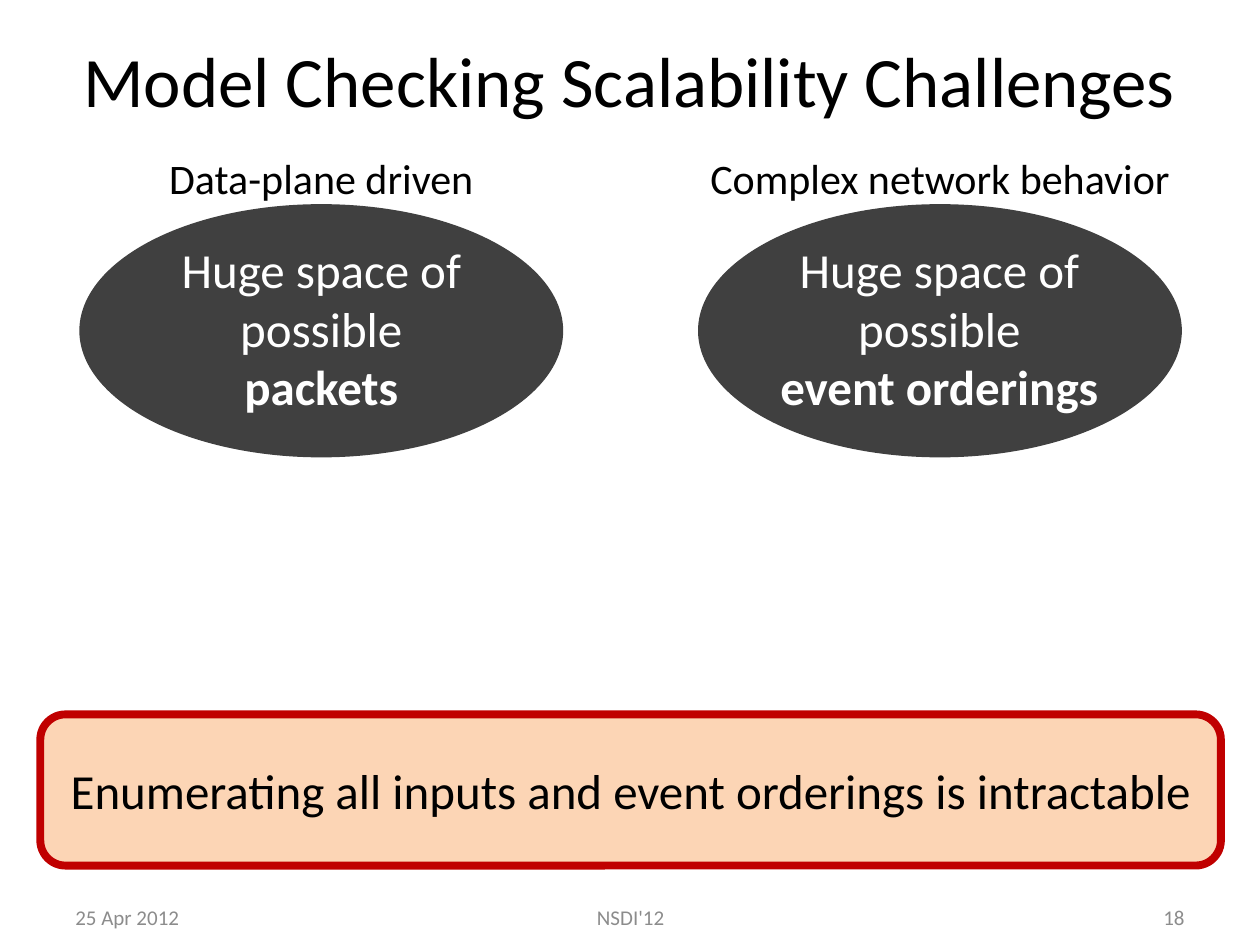
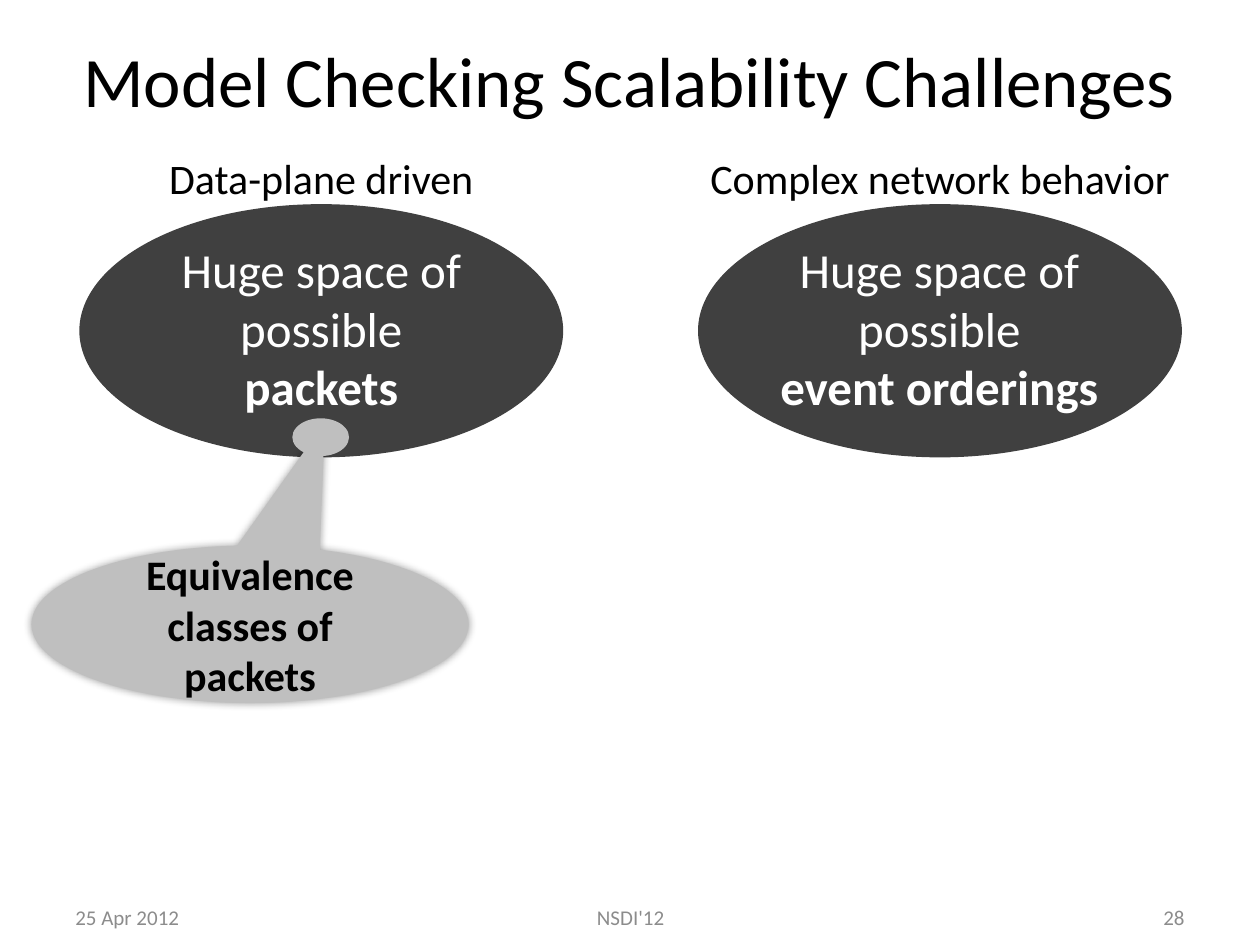
import pptx
import pptx.util
import pptx.dml.color
import pptx.enum.shapes
import pptx.enum.text
import pptx.oxml.ns
from lxml import etree
from pptx.util import Inches

COLOURS = {
    "text": "000000",
    "light_text": "FFFFFF",
    "footer": "8C8C8C",
    "space": "404040",
    "callout": "BFBFBF",
    "banner": "FCD5B5",
    "banner_line": "C00000",
}
FONT = "Calibri"
TITLE = "Model Checking Scalability Challenges"
SHAPES = pptx.enum.shapes.MSO_SHAPE
ALIGN = pptx.enum.text.PP_ALIGN
ANCHOR = pptx.enum.text.MSO_ANCHOR

# Heading and its box, last line of the oval and its box, left edge of the oval
CHALLENGES = [
    ("Data-plane driven", (1.23, 2.64), "packets", (0.97, 3.16), 0.63),
    ("Complex network behavior", (5.52, 3.88), "event orderings", (5.8, 3.31), 5.54),
]


def rgb(name):
    """Return the named colour."""
    return pptx.dml.color.RGBColor.from_string(COLOURS[name])


def write_lines(shape, lines, size, colour="text", align=ALIGN.CENTER,
                anchor=ANCHOR.MIDDLE, wrap=True):
    """Write (text, bold) lines as one paragraph with line breaks."""
    frame = shape.text_frame
    frame.auto_size = pptx.enum.text.MSO_AUTO_SIZE.NONE
    frame.word_wrap = wrap
    frame.vertical_anchor = anchor
    paragraph = frame.paragraphs[0]
    paragraph.alignment = align
    for index, (text, bold) in enumerate(lines):
        if index:
            paragraph.add_line_break()
        run = paragraph.add_run()
        run.text = text
        run.font.name = FONT
        run.font.size = pptx.util.Pt(size)
        run.font.bold = bold
        run.font.color.rgb = rgb(colour)


def add_text(slide, box, lines, size, **style):
    """Add a text box at (left, top, width, height)."""
    shape = slide.shapes.add_textbox(*map(Inches, box))
    write_lines(shape, lines, size, **style)


def add_filled(shapes, kind, box, fill):
    """Add a flat preset shape without outline."""
    shape = shapes.add_shape(kind, *map(Inches, box))
    shape.shadow.inherit = False
    shape.fill.solid()
    shape.fill.fore_color.rgb = rgb(fill)
    shape.line.fill.background()
    return shape


def add_glow_shadow(shape):
    """Give a shape a soft shadow that spreads evenly on all sides."""
    qualify = pptx.oxml.ns.qn
    effects = shape.element.spPr.find(qualify("a:effectLst"))
    shadow = etree.SubElement(effects, qualify("a:outerShdw"),
                              blurRad=str(pptx.util.Pt(5)), dist="0", dir="0",
                              algn="ctr", rotWithShape="0")
    colour = etree.SubElement(shadow, qualify("a:srgbClr"), val=COLOURS["text"])
    etree.SubElement(colour, qualify("a:alpha"), val="40000")


def add_challenge(slide, heading, heading_span, subject, text_span, oval_left):
    """Add a dark oval with its text and the heading above it."""
    add_filled(slide.shapes, SHAPES.OVAL, (oval_left, 1.62, 3.84, 2.01), "space")
    left, width = text_span
    add_text(slide, (left, 1.85, width, 1.78),
             [("Huge space of", False), ("possible", False), (subject, True)],
             28, colour="light_text", anchor=ANCHOR.TOP, wrap=False)
    left, width = heading_span
    add_text(slide, (left, 1.16, width, 0.5), [(heading, False)], 24,
             anchor=ANCHOR.TOP, wrap=False)


def add_footer(slide, number):
    """Add date, venue and slide number."""
    for left, width, text, align in [
        (7.17, 2.33, str(number), ALIGN.RIGHT),
        (0.5, 2.33, "25 Apr 2012", ALIGN.LEFT),
        (3.42, 3.17, "NSDI'12", ALIGN.CENTER),
    ]:
        add_text(slide, (left, 7.08, width, 0.4), [(text, False)], 12,
                 colour="footer", align=align)


def add_challenge_slide(presentation, number):
    """Add a slide with the title, both challenges and the footer."""
    slide = presentation.slides.add_slide(presentation.slide_layouts[5])
    title = slide.shapes.title
    title.left, title.top, title.width, title.height = map(Inches, (0.5, 0, 9, 1.25))
    write_lines(title, [(TITLE, False)], 40.5)
    for challenge in CHALLENGES:
        add_challenge(slide, *challenge)
    add_footer(slide, number)
    return slide


def add_banner(slide, text):
    """Add the outlined conclusion banner."""
    banner = add_filled(slide.shapes, SHAPES.ROUNDED_RECTANGLE,
                        (0.32, 5.67, 9.37, 1.2), "banner")
    banner.line.color.rgb = rgb("banner_line")
    banner.line.width = pptx.util.Pt(4.5)
    write_lines(banner, [(text, False)], 28, wrap=False)


def add_callout(slide, lines):
    """Add a grouped callout whose tip ends in a small oval."""
    group = slide.shapes.add_group_shape()
    callout = add_filled(group.shapes, SHAPES.OVAL_CALLOUT,
                         (0.25, 4.33, 3.47, 1.25), "callout")
    callout.adjustments[0] = 0.171
    callout.adjustments[1] = -1.282
    add_glow_shadow(callout)
    write_lines(callout, [(line, True) for line in lines], 24)
    add_filled(group.shapes, SHAPES.OVAL, (2.32, 3.32, 0.45, 0.3), "callout")


def main():
    """Build and save the presentation."""
    presentation = pptx.Presentation()
    presentation.slide_width = Inches(10)
    presentation.slide_height = Inches(7.5)
    problem = add_challenge_slide(presentation, 18)
    add_banner(problem, "Enumerating all inputs and event orderings is intractable")
    solution = add_challenge_slide(presentation, 28)
    add_callout(solution, ["Equivalence", "classes of", "packets"])
    presentation.save("out.pptx")


main()
